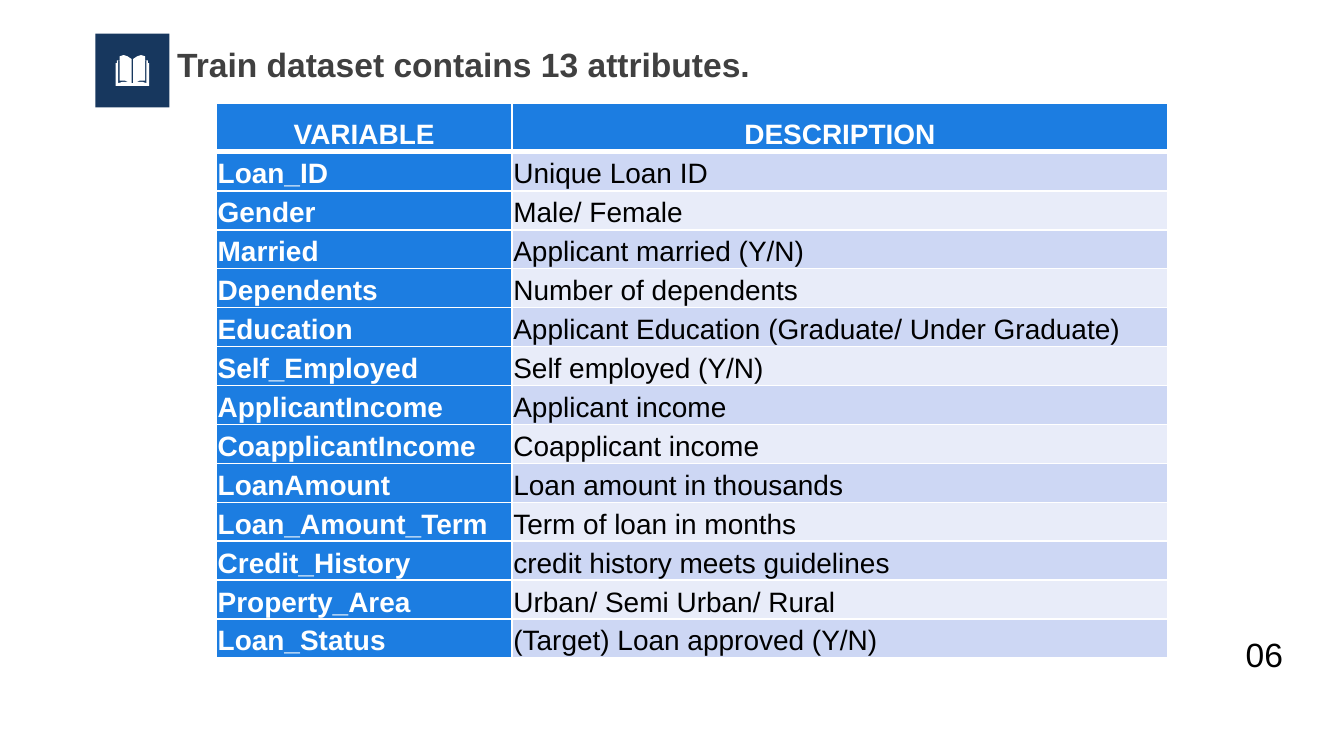
from lxml import etree
from pptx import Presentation
from pptx import util as u
from pptx.dml.color import RGBColor
from pptx.enum import shapes, text
from pptx.oxml.ns import qn

COLORS = {
    "navy": "17375E",
    "blue": "1C7DE1",
    "dark_band": "CDD7F4",
    "light_band": "E8ECF9",
    "white": "FFFFFF",
    "black": "000000",
    "title": "404040",
}
HEADER = ("VARIABLE", "DESCRIPTION")
ATTRIBUTES = [
    ("Loan_ID", "Unique Loan ID"),
    ("Gender", "Male/ Female"),
    ("Married", "Applicant married (Y/N)"),
    ("Dependents", "Number of dependents"),
    ("Education", "Applicant Education (Graduate/ Under Graduate)"),
    ("Self_Employed", "Self employed (Y/N)"),
    ("ApplicantIncome", "Applicant income"),
    ("CoapplicantIncome", "Coapplicant income"),
    ("LoanAmount", "Loan amount in thousands"),
    ("Loan_Amount_Term", "Term of loan in months"),
    ("Credit_History", "credit history meets guidelines"),
    ("Property_Area", "Urban/ Semi Urban/ Rural"),
    ("Loan_Status", "(Target) Loan approved (Y/N)"),
]
BOOK_RIGHT_HALF = [
    (99, 62), (102, 61), (106, 61), (109, 62), (109, 45), (108, 45),
    (108, 60), (104, 60), (99, 62), (99, 44), (102, 42), (105, 41),
    (108, 42), (108, 45), (110, 45), (110, 47), (111, 47), (111, 64),
]


def color(name):
    return RGBColor.from_string(COLORS[name])


def paint(item, name):
    item.fill.solid()
    item.fill.fore_color.rgb = color(name)


def finish_shape(shape, fill):
    shape.shadow.inherit = False
    paint(shape, fill)
    shape.line.fill.background()


def add_span(para, words, size, name, bold=False):
    span = para.add_run()
    span.text = words
    span.font.name = "Arial"
    span.font.size = u.Pt(size)
    span.font.bold = bold
    span.font.color.rgb = color(name)


def add_label(page, left, top, width, words, name, bold=False):
    box = page.shapes.add_textbox(
        u.Inches(left), u.Inches(top), u.Inches(width), u.Inches(0.4))
    box.text_frame.word_wrap = True
    box.text_frame.auto_size = text.MSO_AUTO_SIZE.SHAPE_TO_FIT_TEXT
    add_span(box.text_frame.paragraphs[0], words, 18, name, bold)


def add_book_icon(page):
    square = page.shapes.add_shape(
        shapes.MSO_SHAPE.RECTANGLE,
        u.Inches(0.71), u.Inches(0.25), u.Inches(0.55), u.Inches(0.55))
    finish_shape(square, "navy")
    left_half = [(197 - x, y) for x, y in reversed(BOOK_RIGHT_HALF)]
    outline = BOOK_RIGHT_HALF + left_half
    builder = page.shapes.build_freeform(*outline[0], scale=u.Inches(0.01))
    builder.add_line_segments(outline[1:], close=True)
    finish_shape(builder.convert_to_shape(), "white")


def set_borders(cell, top=1, bottom=1):
    properties = cell._tc.get_or_add_tcPr()
    widths = {"a:lnL": 1, "a:lnR": 1, "a:lnT": top, "a:lnB": bottom}
    for index, (tag, width) in enumerate(widths.items()):
        line = etree.Element(qn(tag), w=str(u.Pt(width)))
        fill = etree.SubElement(line, qn("a:solidFill"))
        etree.SubElement(fill, qn("a:srgbClr"), val=COLORS["white"])
        properties.insert(index, line)


def fill_cell(cell, words, fill, name, bold, align):
    paint(cell, fill)
    cell.vertical_anchor = text.MSO_ANCHOR.BOTTOM
    cell.margin_left = cell.margin_right = u.Inches(0.01)
    cell.margin_top = cell.margin_bottom = u.Inches(0.01)
    para = cell.text_frame.paragraphs[0]
    para.alignment = align
    para.line_spacing = 1.07
    para.space_after = u.Pt(8)
    add_span(para, words, 15, name, bold)


def add_attribute_table(page):
    rows = [HEADER] + ATTRIBUTES
    table = page.shapes.add_table(
        len(rows), 2, u.Inches(1.61), u.Inches(0.77),
        u.Inches(7.08), u.Inches(4.13)).table
    for column, width in zip(table.columns, (2.2, 4.88)):
        column.width = u.Inches(width)
    for r, row in enumerate(rows):
        table.rows[r].height = u.Inches(0.29 if r else 0.36)
        align = text.PP_ALIGN.LEFT if r else text.PP_ALIGN.CENTER
        band = "dark_band" if r % 2 else "light_band"
        for c, words in enumerate(row):
            cell = table.cell(r, c)
            strong = r == 0 or c == 0
            fill_cell(cell, words, "blue" if strong else band,
                      "white" if strong else "black", strong, align)
            set_borders(cell, top=3 if r == 1 else 1, bottom=1 if r else 3)


def main():
    deck = Presentation()
    deck.slide_width = u.Inches(10)
    deck.slide_height = u.Inches(10 * 9 / 16)
    page = deck.slides.add_slide(deck.slide_layouts[6])
    add_book_icon(page)
    add_label(page, 1.22, 0.28, 8.1,
              "Train dataset contains 13 attributes.", "title", bold=True)
    add_attribute_table(page)
    add_label(page, 9.17, 4.67, 0.94, "06", "black")
    deck.save("out.pptx")


if __name__ == "__main__":
    main()
